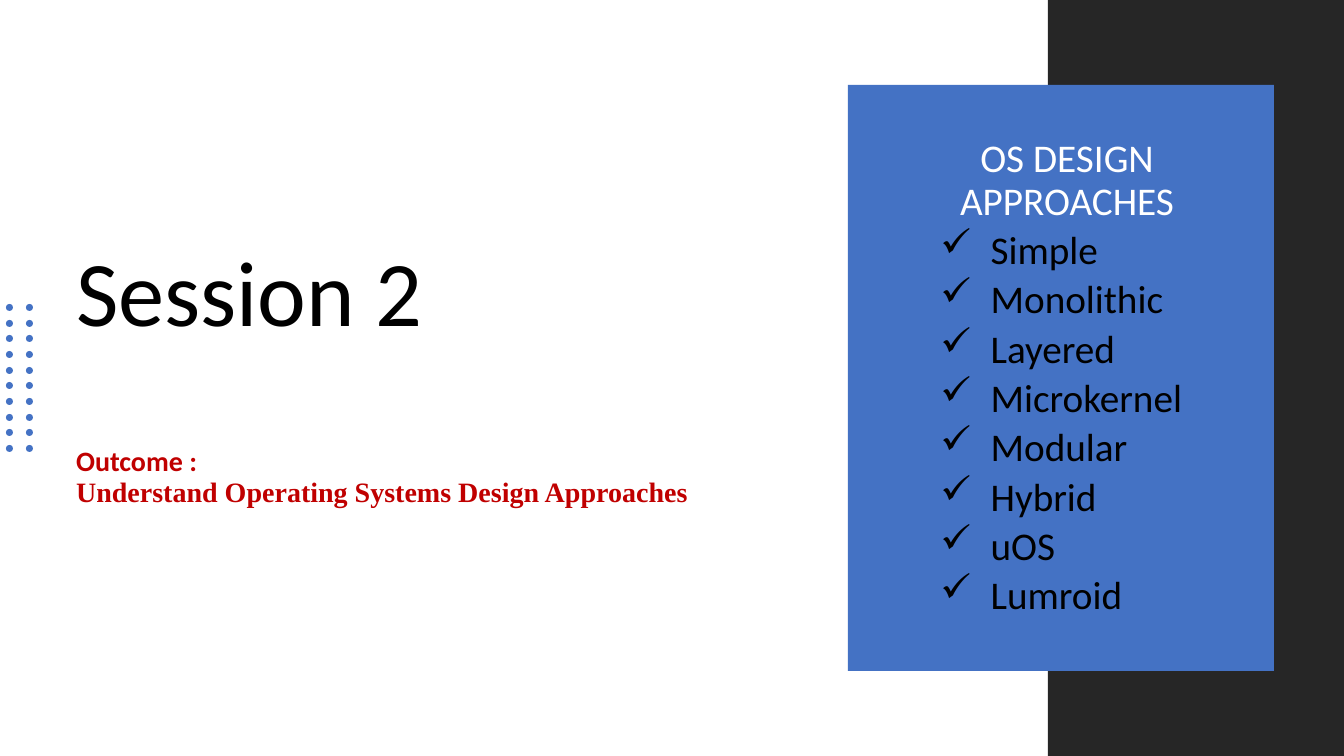
from dataclasses import dataclass

from lxml.etree import SubElement
from pptx import Presentation
from pptx.dml.color import RGBColor
from pptx.enum.shapes import MSO_SHAPE
from pptx.enum.text import MSO_ANCHOR, MSO_AUTO_SIZE, PP_ALIGN
from pptx.oxml.ns import qn
from pptx.util import Emu, Pt

PX_PER_INCH = 100.8
WHITE = RGBColor(0xFF, 0xFF, 0xFF)
BLACK = RGBColor(0x00, 0x00, 0x00)
CHARCOAL = RGBColor(0x26, 0x26, 0x26)
BLUE = RGBColor(0x44, 0x72, 0xC4)
RED = RGBColor(0xC0, 0x00, 0x00)

DOT_ROWS, DOT_COLUMNS = 10, 2
DOT_SIZE, DOT_LEFT, DOT_TOP = 7, 6, 304
DOT_COLUMN_GAP, DOT_GRID_HEIGHT = 20, 141


@dataclass(frozen=True)
class Area:
    left: int
    top: int
    width: int
    height: int


@dataclass(frozen=True)
class Line:
    text: str
    size: int
    color: RGBColor
    font: str = "Calibri"
    bold: bool = False
    space_before: int = 0
    align: PP_ALIGN = PP_ALIGN.LEFT
    bullet: str = ""


TITLE_LINES = [
    Line("Session 2", 66, BLACK),
    Line("Outcome :", 20, RED, bold=True, space_before=72),
    Line("Understand Operating Systems Design Approaches", 20, RED, "Times New Roman", True),
]
APPROACHES = ["Simple", "Monolithic", "Layered", "Microkernel", "Modular", "Hybrid", "uOS", "Lumroid"]
PANEL_LINES = [Line("OS DESIGN APPROACHES", 28, WHITE, align=PP_ALIGN.CENTER)] + [
    Line(name, 28, BLACK, space_before=5, bullet="✓") for name in APPROACHES
]


def px(length: int) -> Emu:
    return Emu(round(length * 914400 / PX_PER_INCH))


def place(area: Area) -> tuple[Emu, Emu, Emu, Emu]:
    return px(area.left), px(area.top), px(area.width), px(area.height)


def add_filled(shapes, kind: MSO_SHAPE, area: Area, color: RGBColor) -> None:
    shape = shapes.add_shape(kind, *place(area))
    shape.shadow.inherit = False
    shape.fill.solid()
    shape.fill.fore_color.rgb = color
    shape.line.fill.background()


def add_bullet(paragraph, character: str) -> None:
    properties = paragraph._p.get_or_add_pPr()
    properties.set("marL", "914400")
    properties.set("indent", "-457200")
    SubElement(properties, qn("a:buChar")).set("char", character)


def write_lines(box, lines: list[Line]) -> None:
    frame = box.text_frame
    frame.word_wrap = True
    frame.auto_size = MSO_AUTO_SIZE.NONE
    frame.vertical_anchor = MSO_ANCHOR.MIDDLE
    frame.text = "\n".join(line.text for line in lines)
    for paragraph, line in zip(frame.paragraphs, lines):
        paragraph.alignment = line.align
        paragraph.line_spacing = 0.9
        paragraph.space_before = Pt(line.space_before)
        if line.bullet:
            add_bullet(paragraph, line.bullet)
        for span in paragraph.runs:
            span.font.name = line.font
            span.font.size = Pt(line.size)
            span.font.bold = line.bold
            span.font.color.rgb = line.color


def add_dots(page) -> None:
    group = page.shapes.add_group_shape()
    for row in range(DOT_ROWS):
        top = DOT_TOP + round(row * DOT_GRID_HEIGHT / (DOT_ROWS - 1))
        for column in range(DOT_COLUMNS):
            left = DOT_LEFT + column * DOT_COLUMN_GAP
            add_filled(group.shapes, MSO_SHAPE.OVAL, Area(left, top, DOT_SIZE, DOT_SIZE), BLUE)


def main() -> None:
    deck = Presentation()
    deck.slide_width, deck.slide_height = px(1344), px(756)
    page = deck.slides.add_slide(deck.slide_layouts[5])

    title = page.shapes.title
    title.left, title.top, title.width, title.height = place(Area(66, 110, 713, 535))
    write_lines(title, TITLE_LINES)

    add_filled(page.shapes, MSO_SHAPE.RECTANGLE, Area(1048, 0, 296, 756), CHARCOAL)
    add_filled(page.shapes, MSO_SHAPE.RECTANGLE, Area(848, 85, 426, 586), BLUE)
    write_lines(page.shapes.add_textbox(*place(Area(880, 111, 374, 535))), PANEL_LINES)
    add_dots(page)

    deck.save("out.pptx")


if __name__ == "__main__":
    main()
